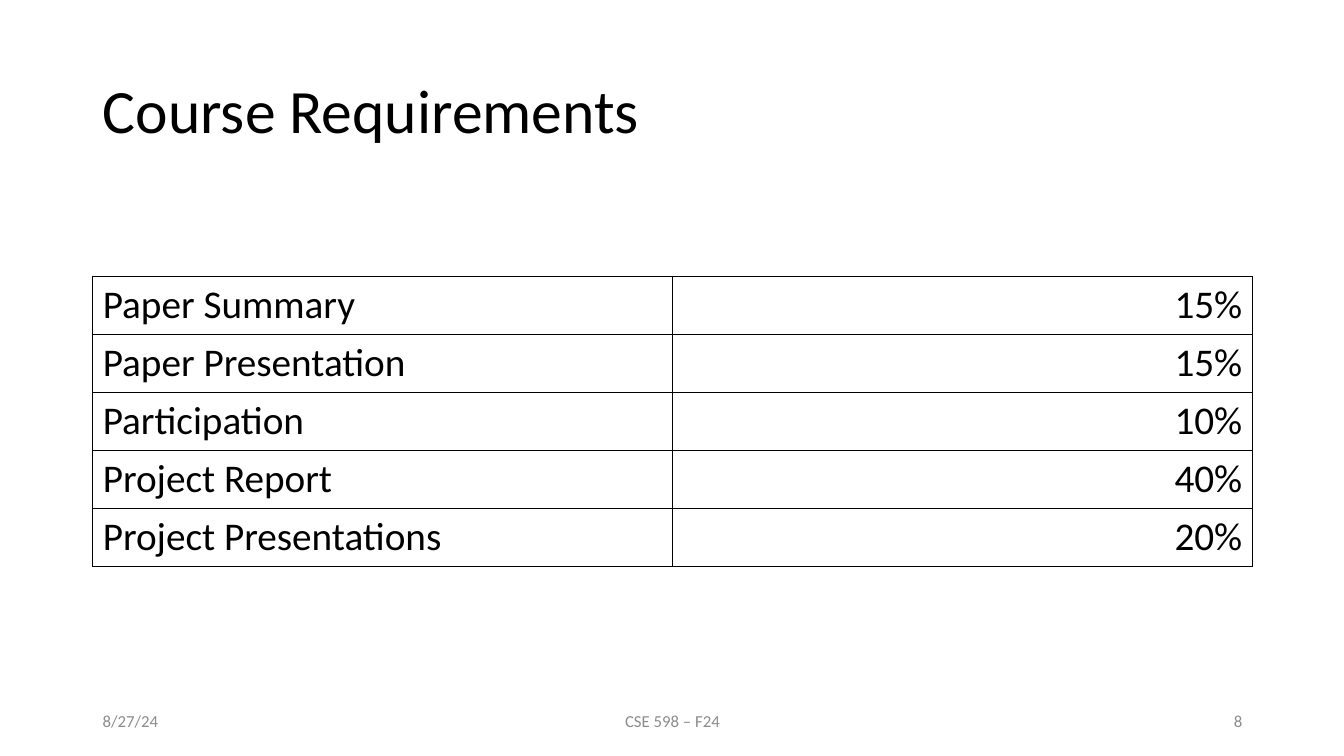
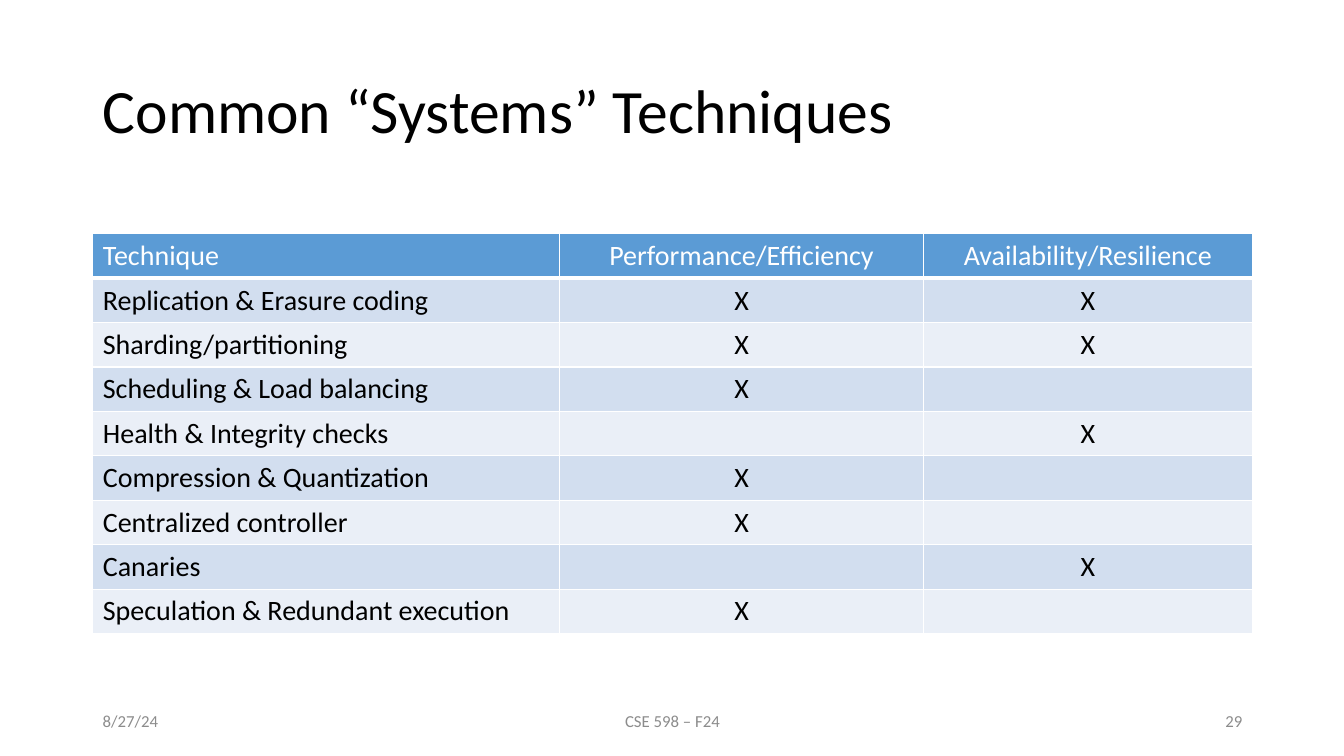
from lxml.etree import SubElement
from pptx import Presentation
from pptx.dml.color import RGBColor as RGB
from pptx.enum.text import MSO_ANCHOR as ANCHOR, MSO_AUTO_SIZE as AUTO, PP_ALIGN as ALIGN
from pptx.oxml.ns import qn
from pptx.util import Inches, Pt

FONT = "Calibri"
COLORS = {
    "text": "000000",
    "footer": "8C8C8C",
    "white": "FFFFFF",
    "header": "5B9BD5",
    "band_dark": "D2DEEF",
    "band_light": "EAEFF7",
}
LEFT, WIDTH = 0.92, 11.5
TITLE_BOX = (LEFT, 0.4, WIDTH, 1.45)
FOOTER_BOX = (LEFT, 6.95, WIDTH, 0.4)
DATE, COURSE = "8/27/24", "CSE 598 – F24"

REQUIREMENTS = [
    ("Paper Summary", "15%"),
    ("Paper Presentation", "15%"),
    ("Participation", "10%"),
    ("Project Report", "40%"),
    ("Project Presentations", "20%"),
]
TECHNIQUES = [
    ("Technique", "Performance/Efficiency", "Availability/Resilience"),
    ("Replication & Erasure coding", "X", "X"),
    ("Sharding/partitioning", "X", "X"),
    ("Scheduling & Load balancing", "X", ""),
    ("Health & Integrity checks", "", "X"),
    ("Compression & Quantization", "X", ""),
    ("Centralized controller", "X", ""),
    ("Canaries", "", "X"),
    ("Speculation & Redundant execution", "X", ""),
]


def write(tf, text, size, color, align=ALIGN.LEFT):
    p = tf.paragraphs[0]
    p.alignment = align
    if text:
        r = p.add_run()
        r.text = text
        r.font.name = FONT
        r.font.size = Pt(size)
        r.font.bold = False
        r.font.color.rgb = RGB.from_string(COLORS[color])
    return p


def add_title(s, text, box):
    sp = s.shapes.title
    sp.left, sp.top, sp.width, sp.height = map(Inches, box)
    tf = sp.text_frame
    tf.word_wrap = True
    tf.auto_size = AUTO.NONE
    tf.vertical_anchor = ANCHOR.MIDDLE
    write(tf, text, 44, "text").line_spacing = 0.9


def add_footer(s, number, box):
    left, top, width, height = box
    side, middle = 3, 4.5
    parts = [
        (DATE, left, side, ALIGN.LEFT),
        (COURSE, left + (width - middle) / 2, middle, ALIGN.CENTER),
        (str(number), left + width - side, side, ALIGN.RIGHT),
    ]
    for text, x, w, align in parts:
        sp = s.shapes.add_textbox(Inches(x), Inches(top), Inches(w), Inches(height))
        tf = sp.text_frame
        tf.word_wrap = True
        tf.vertical_anchor = ANCHOR.MIDDLE
        write(tf, text, 12, "footer", align)


def set_borders(cell, color, **widths):
    tcPr = cell._tc.get_or_add_tcPr()
    for side in "LRTB":
        ln = SubElement(tcPr, qn(f"a:ln{side}"), w=str(Pt(widths.get(side, 1))))
        fill = SubElement(ln, qn("a:solidFill"))
        SubElement(fill, qn("a:srgbClr"), val=COLORS[color])


def add_grid(s, rows, box, col_widths):
    left, top, width, height = map(Inches, box)
    table = s.shapes.add_table(len(rows), len(col_widths), left, top, width, height).table
    table.first_row = table.horz_banding = False
    for col, w in zip(table.columns, col_widths):
        col.width = Inches(w)
    return table


def add_requirements(s, box):
    table = add_grid(s, REQUIREMENTS, box, [box[2] / 2] * 2)
    for i, row in enumerate(REQUIREMENTS):
        for j, text in enumerate(row):
            cell = table.cell(i, j)
            set_borders(cell, "text")
            cell.fill.background()
            write(cell.text_frame, text, 28, "text", ALIGN.RIGHT if j else ALIGN.LEFT)


def add_techniques(s, box):
    table = add_grid(s, TECHNIQUES, box, [4.63, 3.61, box[2] - 4.63 - 3.61])
    table.first_row = True
    for i, row in enumerate(TECHNIQUES):
        band = "band_dark" if i % 2 else "band_light"
        fill, color = (band, "text") if i else ("header", "white")
        for j, text in enumerate(row):
            cell = table.cell(i, j)
            set_borders(cell, "white", T=3 if i == 1 else 1, B=1 if i else 3)
            cell.fill.solid()
            cell.fill.fore_color.rgb = RGB.from_string(COLORS[fill])
            write(cell.text_frame, text, 20, color, ALIGN.CENTER if j else ALIGN.LEFT)


def add_slide(prs, title, number, add_content, box):
    s = prs.slides.add_slide(prs.slide_layouts.get_by_name("Title Only"))
    add_title(s, title, TITLE_BOX)
    add_content(s, box)
    add_footer(s, number, FOOTER_BOX)


def main():
    prs = Presentation()
    prs.slide_width, prs.slide_height = Inches(13.33), Inches(7.5)
    add_slide(prs, "Course Requirements", 8, add_requirements, (LEFT, 2.74, WIDTH, 2.88))
    add_slide(prs, "Common “Systems” Techniques", 29, add_techniques, (LEFT, 2.32, WIDTH, 3.96))
    prs.save("out.pptx")


if __name__ == "__main__":
    main()
